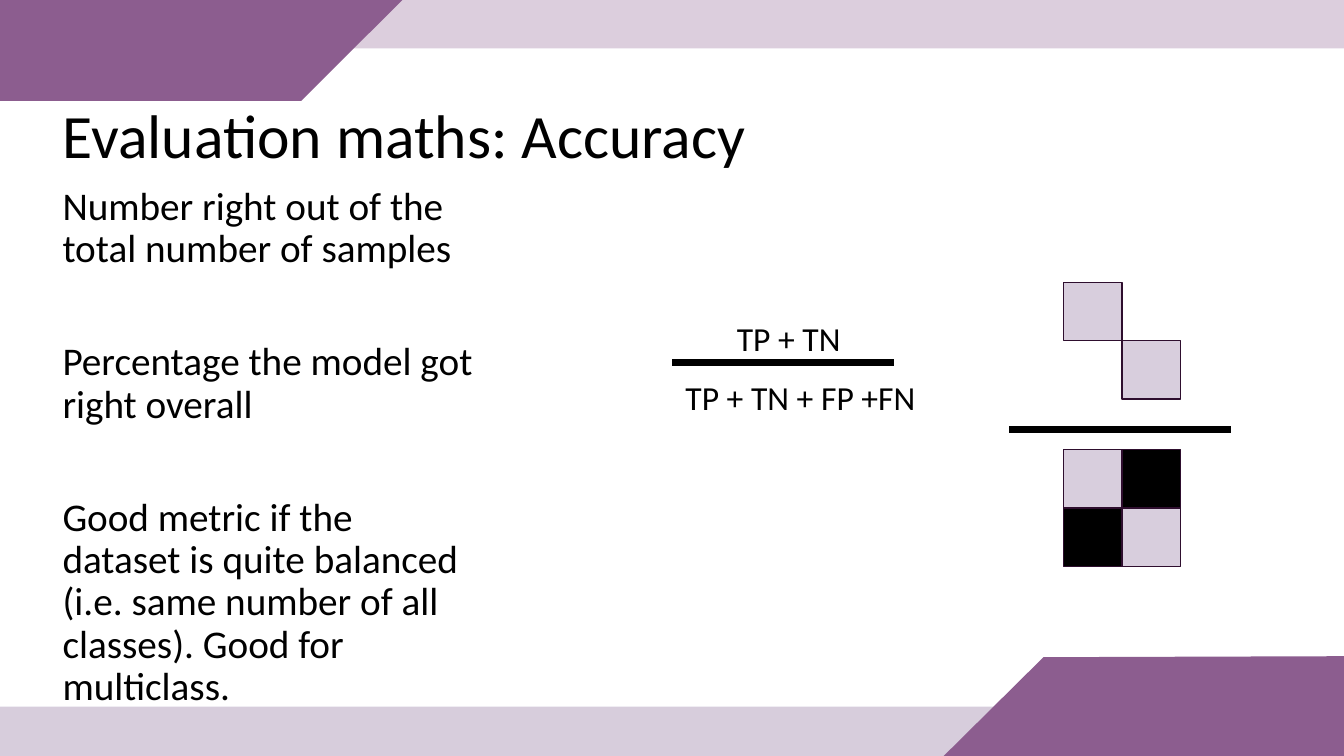
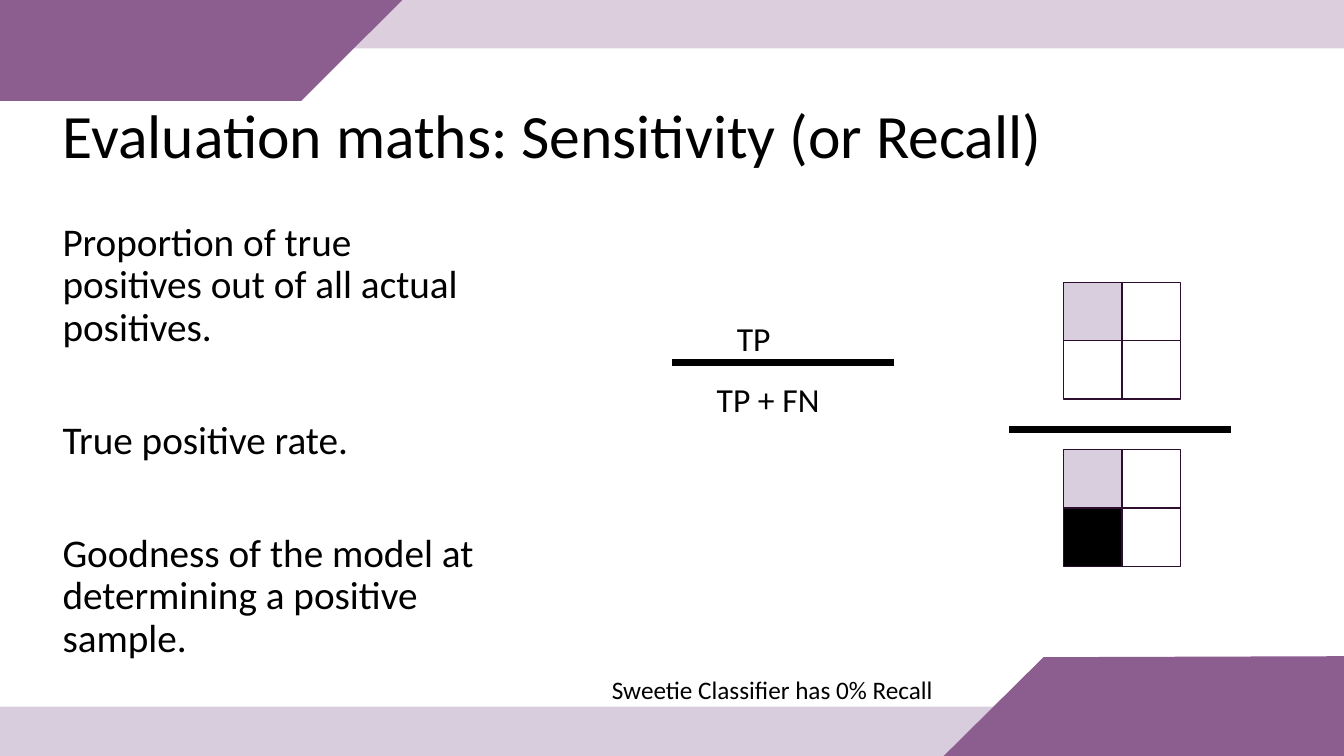
"""Build two slides that explain accuracy and recall as fractions."""
from dataclasses import dataclass

from lxml.etree import SubElement
from pptx import Presentation
from pptx.dml.color import RGBColor
from pptx.enum.shapes import MSO_CONNECTOR as Connector, MSO_SHAPE as Preset
from pptx.enum.text import MSO_ANCHOR as Anchor, MSO_AUTO_SIZE as AutoSize, PP_ALIGN as Align
from pptx.oxml.ns import qn
from pptx.util import Inches, Pt


@dataclass(frozen=True)
class Theme:
    """Colours, font and sizes shared by the slides."""
    font: str = "Calibri"
    text: str = "000000"
    corner: str = "8C5D8F"
    top_band: str = "8C5D8F"
    bottom_band: str = "7C5A8E"
    band_opacity: int = 30
    correct: str = "D8CEDD"
    wrong: str = "000000"
    cell_line: str = "2E0E2E"
    title_size: int = 44
    body_size: int = 28
    formula_size: int = 24
    caption_size: int = 18
    line_spacing: float = 0.9
    paragraph_gap: float = 50.5


THEME = Theme()
WIDTH, HEIGHT = 13.33, 7.5
CELL = 0.58
BAR_LENGTH = 2.2
CELL_FILLS = {"C": THEME.correct, "W": THEME.wrong, "O": None}

SLIDES = [
    {
        "title": "Evaluation maths: Accuracy",
        "body_top": 1.8,
        "body": [
            "Number right out of the total number of samples",
            "Percentage the model got right overall",
            "Good metric if the dataset is quite balanced (i.e. same number of all classes). "
            "Good for multiclass.",
        ],
        "labels": [
            ("TP + TN", 7.21, 3.1, 1.24, THEME.formula_size),
            ("TP + TN + FP +FN", 6.7, 3.69, 2.5, THEME.formula_size),
        ],
        "numerator": ("C ", " C"),
        "denominator": ("CW", "WC"),
    },
    {
        "title": "Evaluation maths: Sensitivity (or Recall)",
        "body_top": 2.16,
        "body": [
            "Proportion of true positives out of all actual positives.",
            "True positive rate.",
            "Goodness of the model at determining a positive sample.",
        ],
        "labels": [
            ("TP", 7.21, 3.1, 0.54, THEME.formula_size),
            ("TP + FN", 7.01, 3.71, 1.23, THEME.formula_size),
            ("Sweetie Classifier has 0% Recall", 5.97, 6.64, 3.42, THEME.caption_size),
        ],
        "numerator": ("CO", "OO"),
        "denominator": ("CO", "WO"),
    },
]


def color(value):
    """Return the colour for a hex string."""
    return RGBColor.from_string(value)


def place(shape, left, top, width, height):
    """Set position and size in inches."""
    shape.left, shape.top = Inches(left), Inches(top)
    shape.width, shape.height = Inches(width), Inches(height)


def style_paragraph(paragraph, size):
    """Apply the shared font at the given size."""
    for run in paragraph.runs:
        run.font.name = THEME.font
        run.font.size = Pt(size)
        run.font.color.rgb = color(THEME.text)


def add_rectangle(slide, left, top, width, height, fill=None, line=None):
    """Add a rectangle without a shadow."""
    shape = slide.shapes.add_shape(
        Preset.RECTANGLE, Inches(left), Inches(top), Inches(width), Inches(height))
    shape.shadow.inherit = False
    if fill:
        shape.fill.solid()
        shape.fill.fore_color.rgb = color(fill)
    else:
        shape.fill.background()
    if line:
        shape.line.color.rgb = color(line)
        shape.line.width = Pt(1)
    else:
        shape.line.fill.background()
    return shape


def add_band(slide, left, top, width, height, fill):
    """Add a translucent band."""
    band = add_rectangle(slide, left, top, width, height, fill)
    fill_color = band.element.spPr.find(qn("a:solidFill"))[0]
    SubElement(fill_color, qn("a:alpha"), val=str(THEME.band_opacity * 1000))
    return band


def add_corner(slide, points):
    """Add a solid corner outline through the points."""
    start, *others = [(Inches(x), Inches(y)) for x, y in points]
    builder = slide.shapes.build_freeform(*start)
    builder.add_line_segments(others, close=True)
    corner = builder.convert_to_shape()
    corner.shadow.inherit = False
    corner.fill.solid()
    corner.fill.fore_color.rgb = color(THEME.corner)
    corner.line.fill.background()
    return corner


def decorate_layout(layout, slide):
    """Draw the bands and corners and hand them to the layout."""
    decorations = [
        add_band(slide, 1.27, 0, WIDTH - 1.27, 0.48, THEME.top_band),
        add_corner(slide, [(0, 0), (3.99, 0), (2.99, 1), (0, 1)]),
        add_band(slide, 0, 7.01, 10.83, HEIGHT - 7.01, THEME.bottom_band),
        add_corner(slide, [(WIDTH, HEIGHT), (9.36, HEIGHT), (10.35, 6.52), (WIDTH, 6.51)]),
    ]
    for index, shape in enumerate(decorations, start=2):
        layout.shapes.element.insert(index, shape.element)


def set_title(slide, text):
    """Fill the title placeholder."""
    title = slide.shapes.title
    place(title, 0.52, 1.03, 12.07, 0.69)
    frame = title.text_frame
    frame.text = text
    frame.auto_size = AutoSize.NONE
    frame.vertical_anchor = Anchor.MIDDLE
    paragraph = frame.paragraphs[0]
    paragraph.alignment = Align.LEFT
    paragraph.line_spacing = THEME.line_spacing
    style_paragraph(paragraph, THEME.title_size)


def set_body(slide, top, texts):
    """Fill the body placeholder with spaced, unbulleted paragraphs."""
    body = slide.placeholders[1]
    place(body, 0.52, top, 4.33, 5.2)
    frame = body.text_frame
    frame.text = "\n".join(texts)
    frame.auto_size = AutoSize.NONE
    frame.vertical_anchor = Anchor.TOP
    for index, paragraph in enumerate(frame.paragraphs):
        properties = paragraph._p.get_or_add_pPr()
        properties.set("marL", "0")
        properties.set("indent", "0")
        SubElement(properties, qn("a:buNone"))
        paragraph.line_spacing = THEME.line_spacing
        paragraph.space_before = Pt(THEME.paragraph_gap if index else 0)
        style_paragraph(paragraph, THEME.body_size)


def add_label(slide, text, left, top, width, size):
    """Add a one-line text box."""
    height = 0.5 if size == THEME.formula_size else 0.4
    box = slide.shapes.add_textbox(Inches(left), Inches(top), Inches(width), Inches(height))
    frame = box.text_frame
    frame.text = text
    frame.word_wrap = False
    frame.auto_size = AutoSize.SHAPE_TO_FIT_TEXT
    style_paragraph(frame.paragraphs[0], size)


def add_fraction_bar(slide, left, top):
    """Add the thick line between numerator and denominator."""
    bar = slide.shapes.add_connector(
        Connector.STRAIGHT, Inches(left), Inches(top), Inches(left + BAR_LENGTH), Inches(top))
    bar.line.color.rgb = color(THEME.text)
    bar.line.width = Pt(5)
    SubElement(bar.element.spPr, qn("a:effectLst"))


def add_matrix(slide, top, rows):
    """Draw a confusion matrix, leaving out the cells marked by a space."""
    for row, marks in enumerate(rows):
        for column, mark in enumerate(marks):
            if mark in CELL_FILLS:
                add_rectangle(slide, 10.55 + column * CELL, top + row * CELL, CELL, CELL,
                              CELL_FILLS[mark], THEME.cell_line)


def fill_slide(slide, content):
    """Place the content of one metric on its slide."""
    set_title(slide, content["title"])
    set_body(slide, content["body_top"], content["body"])
    add_matrix(slide, 2.8, content["numerator"])
    add_matrix(slide, 4.46, content["denominator"])
    add_fraction_bar(slide, 10.01, 4.26)
    add_fraction_bar(slide, 6.67, 3.6)
    for label in content["labels"]:
        add_label(slide, *label)


def main():
    """Build and save the presentation."""
    presentation = Presentation()
    presentation.slide_width, presentation.slide_height = Inches(WIDTH), Inches(HEIGHT)
    layout = presentation.slide_layouts[1]
    slides = [presentation.slides.add_slide(layout) for _ in SLIDES]
    decorate_layout(layout, slides[0])
    for slide, content in zip(slides, SLIDES):
        fill_slide(slide, content)
    presentation.save("out.pptx")


if __name__ == "__main__":
    main()
